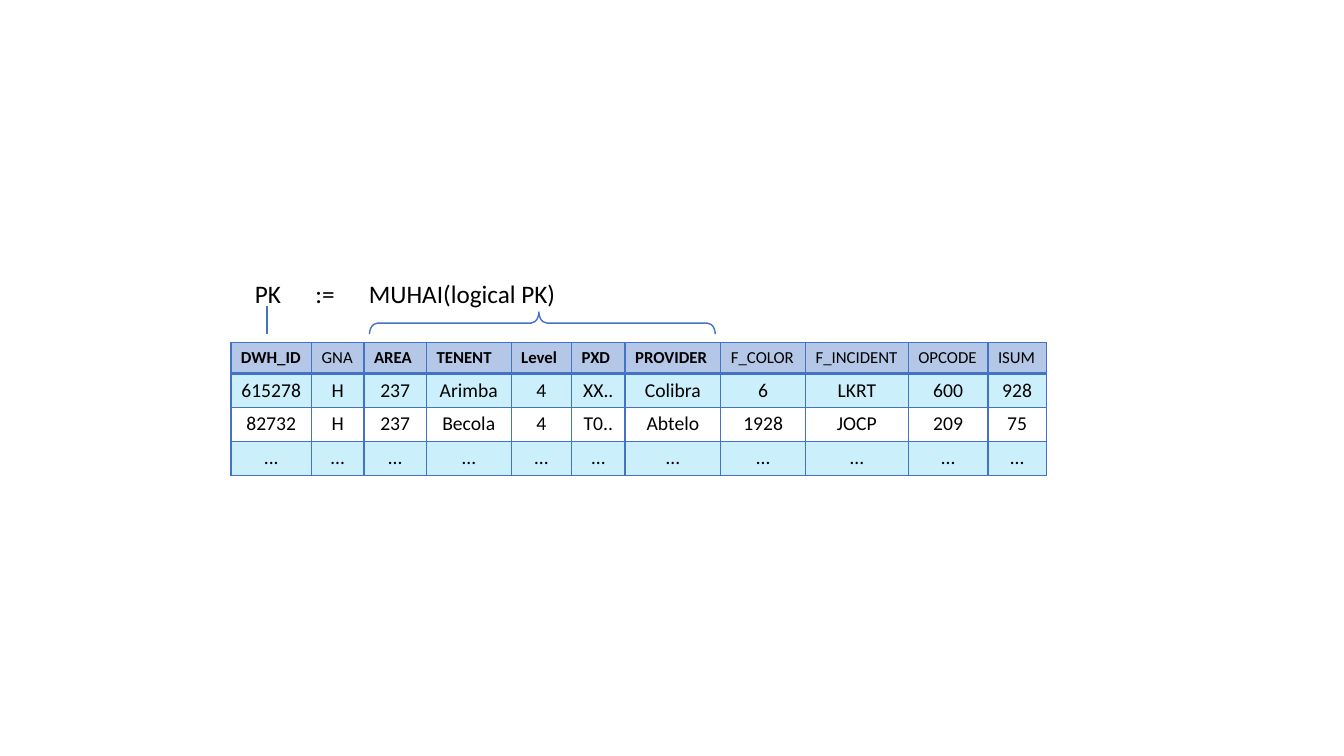
from lxml import etree
from pptx import Presentation, util as u
from pptx.dml.color import RGBColor
from pptx.enum import shapes, text
from pptx.oxml import ns

BLACK = RGBColor(0x00, 0x00, 0x00)
BLUE = RGBColor(0x44, 0x72, 0xC4)
HEADER_BLUE = RGBColor(0xB4, 0xC7, 0xE7)
BAND_BLUE = RGBColor(0x00, 0xB0, 0xF0)

# Widths in grid columns; the logical key fields are bold like the primary key
FIELDS = {
    "DWH_ID": 8, "GNA": 5.2, "AREA": 6.2, "TENENT": 8.4, "Level": 6, "PXD": 5.3,
    "PROVIDER": 9.5, "F_COLOR": 8.4, "F_INCIDENT": 10.2, "OPCODE": 7.9, "ISUM": 5.8,
}
KEY_FIELDS = {"DWH_ID", "AREA", "TENENT", "Level", "PXD", "PROVIDER"}
RECORDS = [
    ["615278", "H", "237", "Arimba", "4", "XX..", "Colibra", "6", "LKRT", "600", "928"],
    ["82732", "H", "237", "Becola", "4", "T0..", "Abtelo", "1928", "JOCP", "209", "75"],
    ["..."] + ["…"] * (len(FIELDS) - 1),
]


def add_xml(parent, tag, **attributes):
    return etree.SubElement(parent, ns.qn(tag), attributes)


class KeySlide:
    """Places elements on a grid of 0.1 inch columns and rows."""

    font = "Calibri"
    cell = u.Inches(0.1)

    def __init__(self, deck):
        self.slide = deck.slides.add_slide(deck.slide_layouts[6])

    def grid(self, *lengths):
        return [round(length * self.cell) for length in lengths]

    def add_words(self, paragraph, words, size, bold=False):
        run = paragraph.add_run()
        run.text = words
        style = {"name": self.font, "size": u.Pt(size), "bold": bold}
        for name, value in style.items():
            setattr(run.font, name, value)
        run.font.color.rgb = BLACK

    def stroke(self, shape):
        shape.line.color.rgb = BLUE
        shape.line.width = u.Pt(1)

    def formula(self, parts, tab_stops, size, *place):
        box = self.slide.shapes.add_textbox(*self.grid(*place))
        box.text_frame.word_wrap = True
        paragraph = box.text_frame.paragraphs[0]
        self.add_words(paragraph, "\t".join(parts), size)
        stops = add_xml(paragraph._p.get_or_add_pPr(), "a:tabLst")
        for stop in self.grid(*tab_stops):
            add_xml(stops, "a:tab", pos=str(stop), algn="l")

    def brace(self, *place):
        brace = self.slide.shapes.add_shape(
            shapes.MSO_SHAPE.RIGHT_BRACE, *self.grid(*place))
        brace.rotation = 270
        brace.adjustments[0], brace.adjustments[1] = 0.36, 0.49
        brace.shadow.inherit = False
        brace.fill.background()
        self.stroke(brace)

    def line(self, *ends):
        line = self.slide.shapes.add_connector(
            shapes.MSO_CONNECTOR.STRAIGHT, *self.grid(*ends))
        self.stroke(line)
        add_xml(line._element.spPr, "a:effectLst")

    def borders(self, cell, top, bottom):
        widths = {"a:lnL": 1, "a:lnR": 1, "a:lnT": top, "a:lnB": bottom}
        for place, (tag, width) in enumerate(widths.items()):
            border = etree.Element(ns.qn(tag), w=str(u.Pt(width)))
            add_xml(add_xml(border, "a:solidFill"), "a:srgbClr", val=str(BLUE))
            cell._tc.get_or_add_tcPr().insert(place, border)

    def fill_cell(self, cell, row):
        if row == 2:
            cell.fill.background()
            return
        cell.fill.solid()
        cell.fill.fore_color.rgb = BAND_BLUE if row else HEADER_BLUE
        if row:
            tint = cell._tc.tcPr.find(".//" + ns.qn("a:srgbClr"))
            add_xml(tint, "a:alpha", val="20000")

    def table(self, left, top, header_height, record_height):
        heights = [header_height] + [record_height] * len(RECORDS)
        table = self.slide.shapes.add_table(
            len(heights), len(FIELDS),
            *self.grid(left, top, sum(FIELDS.values()), sum(heights))).table
        for flag in ("first_row", "horz_banding"):
            setattr(table, flag, False)
        for column, width in zip(table.columns, self.grid(*FIELDS.values())):
            column.width = width
        for row, height in zip(table.rows, self.grid(*heights)):
            row.height = height
        for row, record in enumerate([list(FIELDS), *RECORDS]):
            for column, words in enumerate(record):
                cell = table.cell(row, column)
                paragraph = cell.text_frame.paragraphs[0]
                self.add_words(paragraph, words, 14 if row else 12,
                               row == 0 and words in KEY_FIELDS)
                if row:
                    paragraph.alignment = text.PP_ALIGN.CENTER
                self.fill_cell(cell, row)
                self.borders(cell, 2 if row == 1 else 1, 1 if row else 2)


def main():
    deck = Presentation()
    deck.slide_width, deck.slide_height = u.Inches(13.33), u.Inches(7.5)
    key_slide = KeySlide(deck)

    # Records of the warehouse table
    key_slide.table(22.9, 34, 3, 3.3)

    # Primary key built from the logical key fields
    key_slide.brace(52.7, 14.9, 2.2, 34.3)
    key_slide.formula(["PK", ":=", "MUHAI(logical PK)"], [6, 11.3], 18,
                      24.3, 27.1, 32.8, 4)
    key_slide.line(26.5, 30.4, 26.5, 33.1)

    deck.save("out.pptx")


if __name__ == "__main__":
    main()
